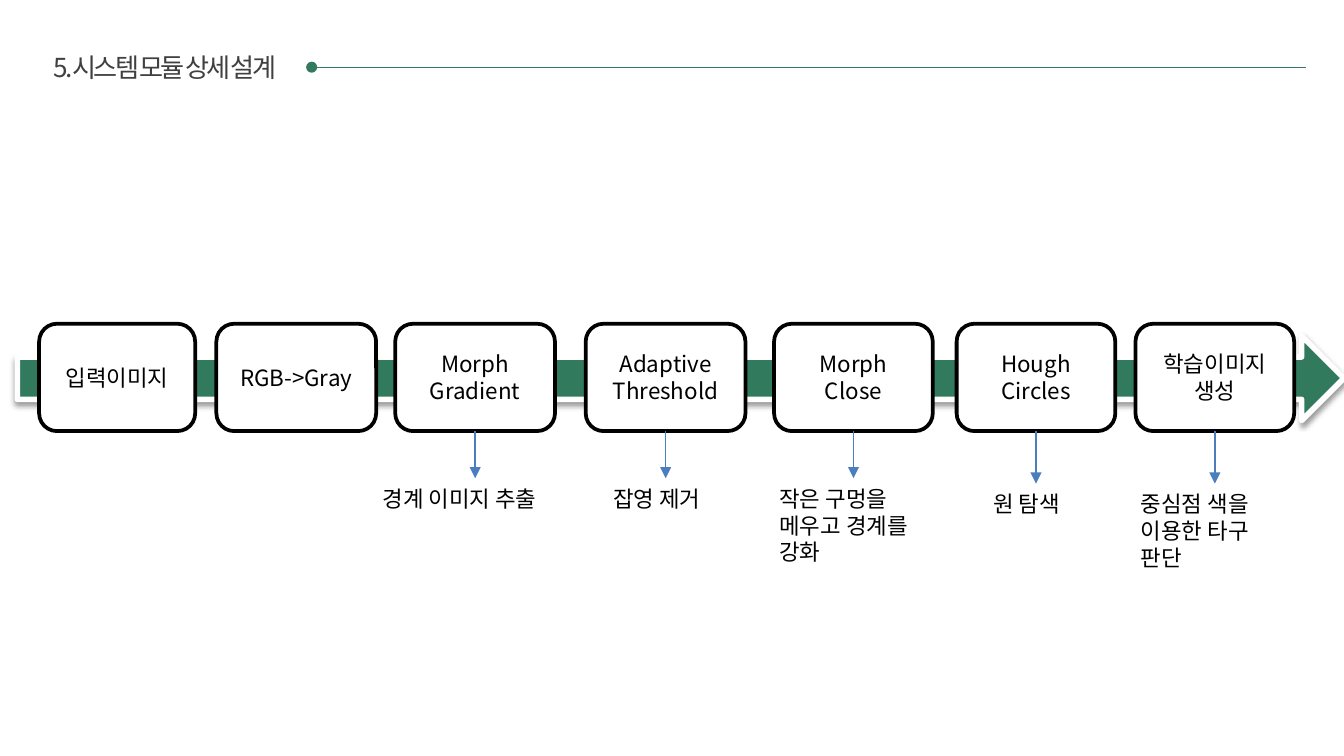
import pptx
import pptx.dml.color
import pptx.enum.shapes
import pptx.enum.text
import pptx.oxml.ns
import pptx.util
import lxml.etree

Cm = pptx.util.Cm
Pt = pptx.util.Pt
RGBColor = pptx.dml.color.RGBColor
ShapeType = pptx.enum.shapes.MSO_SHAPE
Align = pptx.enum.text.PP_ALIGN
Anchor = pptx.enum.text.MSO_ANCHOR
qn = pptx.oxml.ns.qn

GREEN = RGBColor(0x32, 0x7A, 0x5D)
BLUE = RGBColor(0x4B, 0x7E, 0xBC)
GRAY = RGBColor(0x40, 0x40, 0x40)
BLACK = RGBColor(0, 0, 0)
WHITE = RGBColor(0xFF, 0xFF, 0xFF)

BOX_TOP, BOX_HEIGHT = 6.12, 2.03
BOX_BOTTOM = BOX_TOP + BOX_HEIGHT

STEPS = [
    (0.74, 2.95, ["입력이미지"], None),
    (4.09, 3.02, ["RGB->Gray"], None),
    (7.47, 3.02, ["Morph Gradient"], ("경계 이미지 추출", 6.98, 9.04, 4.01, 0.76)),
    (11.07, 3.02, ["Adaptive Threshold"], ("잡영 제거", 11.34, 9.04, 2.69, 0.76)),
    (14.63, 3.0, ["Morph", "Close"], ("작은 구멍을 메우고 경계를 강화", 14.48, 9.04, 3.33, 1.8)),
    (18.08, 3.0, ["Hough", "Circles"], ("원 탐색", 18.52, 9.14, 2.13, 0.76)),
    (21.46, 3.0, ["학습이미지생성"], ("중심점 색을 이용한 타구 판단", 21.31, 9.14, 3.33, 1.8)),
]


class SlideBuilder:
    font_name = "Noto Sans CJK KR"

    def __init__(self, slide):
        self.slide = slide

    def fill_text(self, frame, lines, size, color, alignment, spacing=None):
        frame.word_wrap = True
        for index, line in enumerate(lines):
            paragraph = frame.add_paragraph() if index else frame.paragraphs[0]
            paragraph.alignment = alignment
            run = paragraph.add_run()
            run.text = line
            run.font.name = self.font_name
            run.font.size = Pt(size)
            run.font.color.rgb = color
            properties = run._r.get_or_add_rPr()
            lxml.etree.SubElement(properties, qn("a:ea"), typeface=self.font_name)
            if spacing is not None:
                properties.set("spc", str(round(spacing * 100)))

    def text(self, line, left, top, width, height, size=12, color=BLACK,
             alignment=Align.LEFT, spacing=None):
        box = self.slide.shapes.add_textbox(Cm(left), Cm(top), Cm(width), Cm(height))
        self.fill_text(box.text_frame, [line], size, color, alignment, spacing)

    def shape(self, kind, left, top, width, height, fill, line, line_width):
        shape = self.slide.shapes.add_shape(
            kind, Cm(left), Cm(top), Cm(width), Cm(height))
        shape.fill.solid()
        shape.fill.fore_color.rgb = fill
        shape.line.color.rgb = line
        shape.line.width = Pt(line_width)
        shape.shadow.inherit = False
        return shape

    def step(self, left, width, lines):
        shape = self.shape(ShapeType.ROUNDED_RECTANGLE, left, BOX_TOP, width,
                           BOX_HEIGHT, WHITE, BLACK, 2)
        shape.text_frame.vertical_anchor = Anchor.MIDDLE
        self.fill_text(shape.text_frame, lines, 12, BLACK, Align.CENTER)

    def flow_arrow(self, left, top, width, height):
        shape = self.shape(ShapeType.RIGHT_ARROW, left, top, width, height,
                           GREEN, WHITE, 3)
        effects = shape._element.spPr.find(qn("a:effectLst"))
        shadow = lxml.etree.SubElement(
            effects, qn("a:outerShdw"), blurRad=str(int(Pt(3.1))),
            dist=str(int(Pt(1.6))), dir="5400000", rotWithShape="0")
        color = lxml.etree.SubElement(shadow, qn("a:srgbClr"), val=str(BLACK))
        lxml.etree.SubElement(color, qn("a:alpha"), val="38000")

    def line(self, start, end, color, tag, end_type):
        connector = self.slide.shapes.add_connector(
            pptx.enum.shapes.MSO_CONNECTOR.STRAIGHT,
            *(Cm(value) for value in (*start, *end)))
        connector.line.color.rgb = color
        connector.line.width = Pt(0.75)
        properties = connector._element.spPr
        lxml.etree.SubElement(properties.find(qn("a:ln")), qn(tag), type=end_type)
        lxml.etree.SubElement(properties, qn("a:effectLst"))


def main():
    presentation = pptx.Presentation()
    presentation.slide_width = Cm(25.4)
    presentation.slide_height = Cm(14.29)
    builder = SlideBuilder(presentation.slides.add_slide(presentation.slide_layouts[6]))

    builder.line((5.89, 1.27), (24.69, 1.27), GREEN, "a:headEnd", "oval")
    builder.text("5.시스템 모듈 상세 설계", 0.51, 0.84, 5.21, 0.86,
                 14, GRAY, Align.CENTER, -1.5)
    builder.flow_arrow(0.33, 6.35, 25.07, 1.6)
    for left, width, lines, note in STEPS:
        builder.step(left, width, lines)
        if note:
            center, note_top = left + width / 2, note[2]
            builder.text(*note)
            builder.line((center, BOX_BOTTOM), (center, note_top), BLUE,
                         "a:tailEnd", "triangle")
    presentation.save("out.pptx")


if __name__ == "__main__":
    main()
